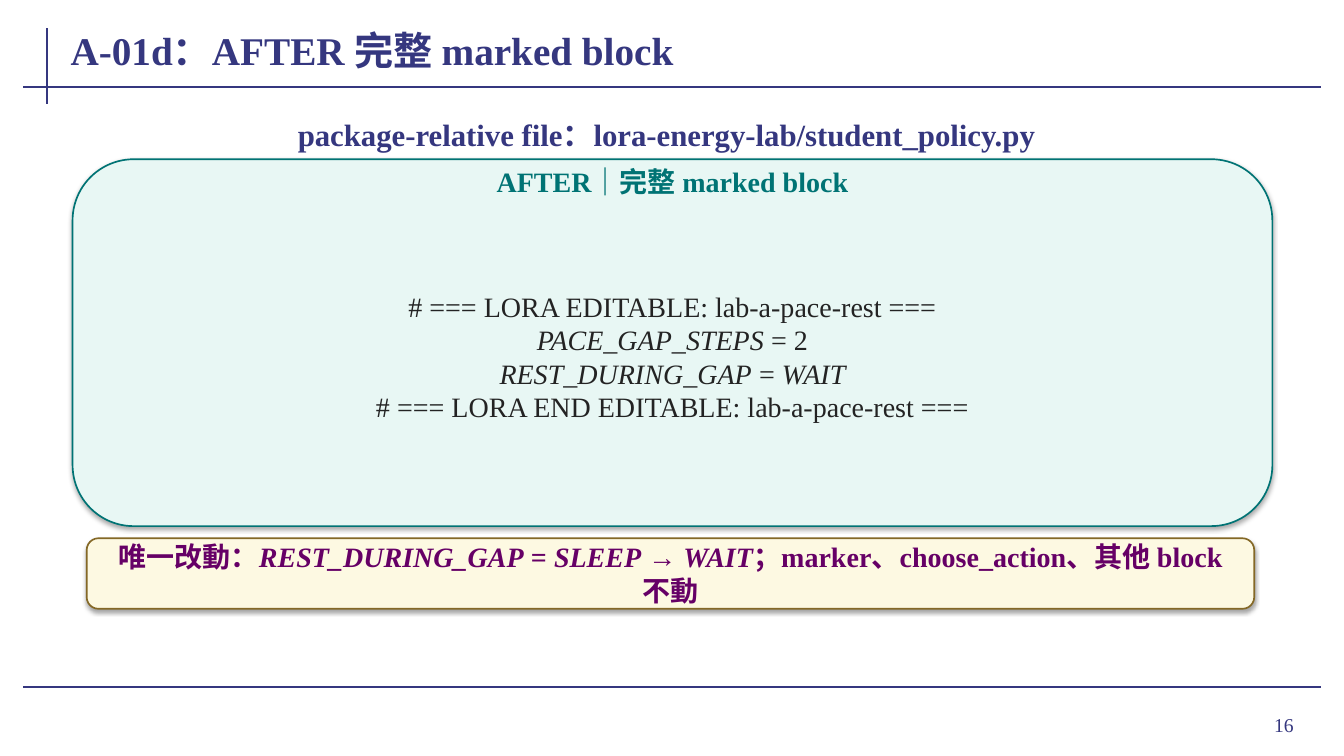
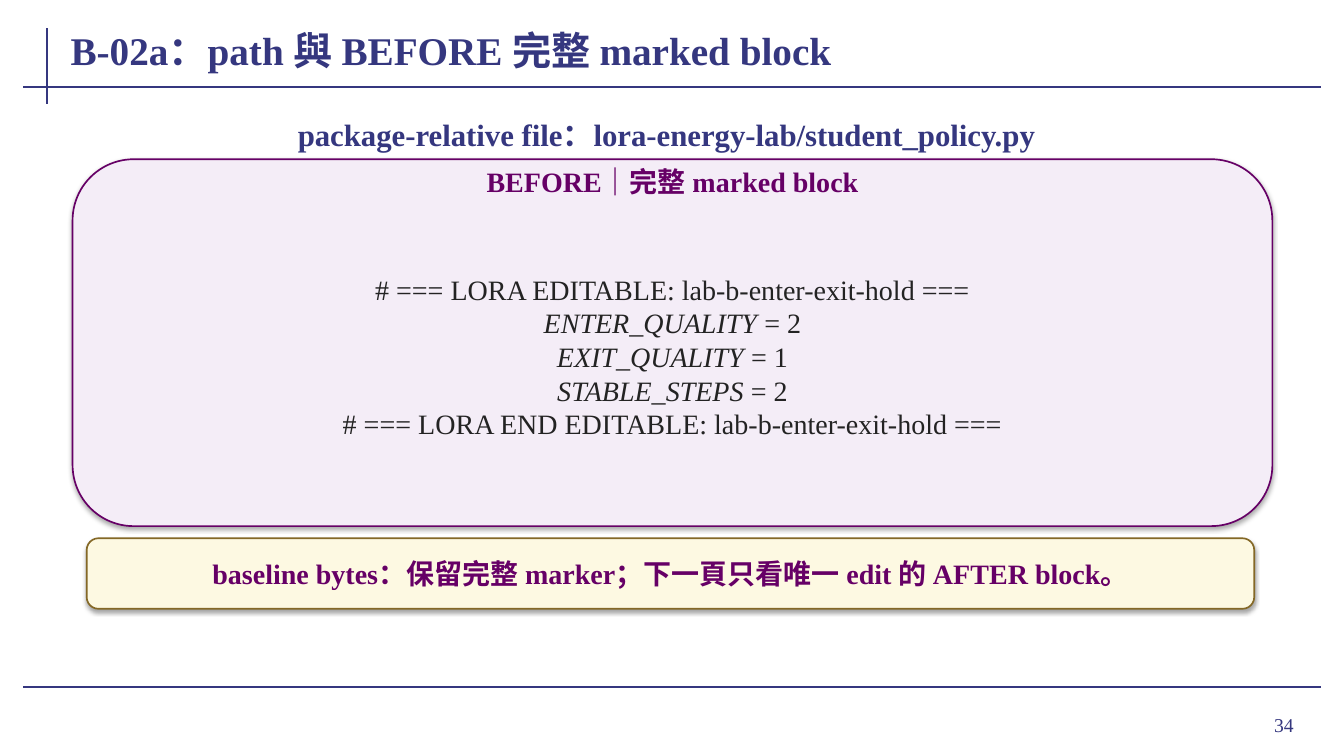
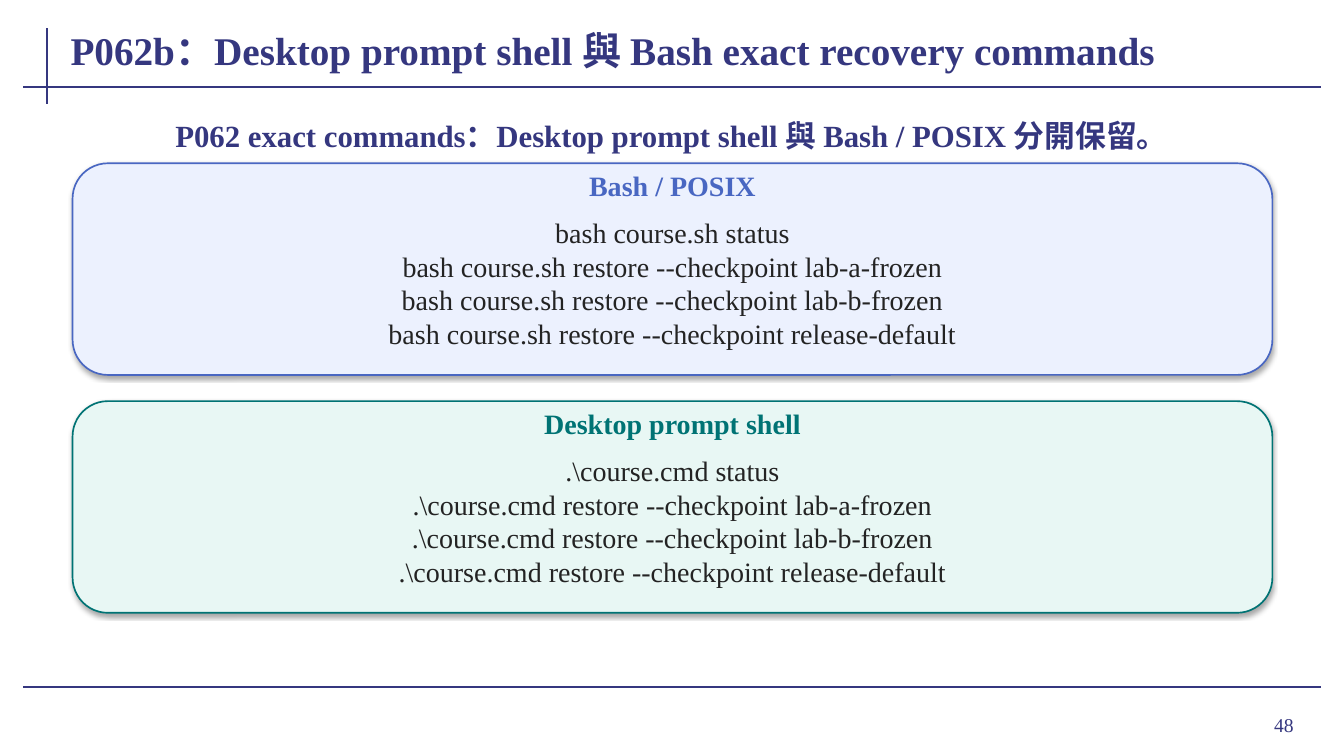
from dataclasses import dataclass

from lxml import etree
from pptx import Presentation
from pptx.dml.color import RGBColor
from pptx.enum.shapes import MSO_CONNECTOR, MSO_SHAPE
from pptx.enum.text import MSO_ANCHOR, MSO_AUTO_SIZE, PP_ALIGN
from pptx.oxml import parse_xml
from pptx.oxml.ns import nsdecls, qn
from pptx.util import Inches, Pt


@dataclass(frozen=True)
class Theme:
    font: str = "Times New Roman"
    navy: str = "35377F"
    ink: str = "232323"
    plum: str = "660066"
    # (accent, fill) pairs for the rounded panels
    teal_panel: tuple = ("007374", "E8F7F4")
    plum_panel: tuple = ("660066", "F4EDF7")
    blue_panel: tuple = ("4967C2", "ECF1FE")
    note_panel: tuple = ("846826", "FDF9E2")
    title_size: int = 28
    lead_size: int = 22
    body_size: int = 20
    page_size: int = 14
    rule_width: float = 1.5
    border_width: float = 1.2


T = Theme()
SHADOW = (
    f'<a:outerShdw {nsdecls("a")} blurRad="40000" dist="23000" dir="5400000" '
    'rotWithShape="0"><a:srgbClr val="000000"><a:alpha val="35000"/>'
    "</a:srgbClr></a:outerShdw>"
)


def rgb(value):
    return RGBColor.from_string(value)


def inset(box, dx, top, bottom):
    """Shrink a box by dx on both sides and by the given top and bottom."""
    x, y, w, h = box
    return x + dx, y + top, w - 2 * dx, h - top - bottom


def add_text(s, box, lines, size, color, bold=False, align=PP_ALIGN.CENTER,
             margins=(0.01, 0, 0.01, 0.01), grow=True):
    """Text box with one paragraph a line; *stars* enclose italics."""
    tf = s.shapes.add_textbox(*map(Inches, box)).text_frame
    tf.word_wrap = True
    tf.vertical_anchor = MSO_ANCHOR.MIDDLE
    tf.auto_size = MSO_AUTO_SIZE.SHAPE_TO_FIT_TEXT if grow else MSO_AUTO_SIZE.NONE
    (tf.margin_left, tf.margin_top,
     tf.margin_right, tf.margin_bottom) = map(Inches, margins)
    for i, line in enumerate(lines):
        p = tf.add_paragraph() if i else tf.paragraphs[0]
        p.alignment = align
        p.font.name = T.font
        p.font.size = Pt(size)
        p.font.bold = bold
        p.font.color.rgb = rgb(color)
        for j, part in enumerate(line.split("*")):
            if part:
                r = p.add_run()
                r.text = part
                if j % 2:
                    r.font.italic = True


def add_rule(s, x1, y1, x2, y2):
    rule = s.shapes.add_connector(MSO_CONNECTOR.STRAIGHT,
                                  *map(Inches, (x1, y1, x2, y2)))
    rule.line.color.rgb = rgb(T.navy)
    rule.line.width = Pt(T.rule_width)
    etree.SubElement(rule._element.spPr, qn("a:effectLst"))


def add_card(s, box, colors):
    """Rounded rectangle with a soft shadow below."""
    accent, fill = colors
    sp = s.shapes.add_shape(MSO_SHAPE.ROUNDED_RECTANGLE, *map(Inches, box))
    sp.fill.solid()
    sp.fill.fore_color.rgb = rgb(fill)
    sp.line.color.rgb = rgb(accent)
    sp.line.width = Pt(T.border_width)
    sp.shadow.inherit = False
    sp._element.spPr.find(qn("a:effectLst")).append(parse_xml(SHADOW))


def add_panel(s, box, colors, label, lines):
    """Card with a coloured label at its top and centred code under it."""
    add_card(s, box, colors)
    add_text(s, inset(box, 0.18, 0.1, box[3] - 0.35), [label],
             T.body_size, colors[0], bold=True)
    add_text(s, inset(box, 0.22, 0.38, 0.1), lines, T.body_size, T.ink)


def add_note(s, box, text):
    add_card(s, box, T.note_panel)
    add_text(s, inset(box, 0.18, 0.07, 0.07), [text], T.body_size, T.plum,
             bold=True, margins=(0.02, 0, 0.02, 0))


def new_slide(prs, title, page):
    """Blank slide with the shared rules, title and page number."""
    s = prs.slides.add_slide(prs.slide_layouts[6])
    add_rule(s, 0.47, 0.28, 0.47, 1.03)
    for y in (0.86, 6.82):
        add_rule(s, 0.23, y, 13.1, y)
    add_text(s, (11.96, 6.93, 0.97, 0.52), [str(page)], T.page_size, T.navy,
             align=PP_ALIGN.RIGHT, margins=(0.1, 0.05, 0.1, 0.05), grow=False)
    add_text(s, (0.68, 0.18, 11.95, 0.62), [title], T.title_size, T.navy,
             bold=True, align=PP_ALIGN.LEFT, margins=(0.02, 0, 0.02, 0),
             grow=False)
    return s


def block_slide(prs, title, page, colors, label, lines, note):
    """File name, one code block and a note."""
    s = new_slide(prs, title, page)
    add_text(s, (0.82, 1.16, 11.58, 0.34),
             ["package-relative file：lora-energy-lab/student_policy.py"],
             T.lead_size, T.navy, bold=True, margins=(0.01, 0, 0.01, 0))
    add_panel(s, (0.72, 1.58, 11.9, 3.64), colors, label, lines)
    add_note(s, (0.86, 5.34, 11.58, 0.7), note)


def commands_slide(prs, title, page, lead, panels):
    """Lead line and a stack of command panels."""
    s = new_slide(prs, title, page)
    add_text(s, (0.88, 1.16, 11.56, 0.36), [lead], T.lead_size, T.navy,
             bold=True, margins=(0.08, 0.04, 0.08, 0.04))
    top, height, gap = 1.62, 2.1, 0.26
    actions = ["status"] + [f"restore --checkpoint {name}" for name in
                            ("lab-a-frozen", "lab-b-frozen", "release-default")]
    for i, (colors, label, command) in enumerate(panels):
        add_panel(s, (0.72, top + i * (height + gap), 11.9, height), colors,
                  label, [f"{command} {action}" for action in actions])


def main():
    prs = Presentation()
    prs.slide_width, prs.slide_height = Inches(13.33), Inches(7.5)

    block_slide(
        prs, "A-01d：AFTER 完整 marked block", 16, T.teal_panel,
        "AFTER｜完整 marked block",
        ["# === LORA EDITABLE: lab-a-pace-rest ===",
         "*PACE_GAP_STEPS* = 2",
         "*REST_DURING_GAP* = *WAIT*",
         "# === LORA END EDITABLE: lab-a-pace-rest ==="],
        "唯一改動：*REST_DURING_GAP* = *SLEEP* → *WAIT*"
        "；marker、choose_action、其他 block 不動")

    block_slide(
        prs, "B-02a：path 與 BEFORE 完整 marked block", 34, T.plum_panel,
        "BEFORE｜完整 marked block",
        ["# === LORA EDITABLE: lab-b-enter-exit-hold ===",
         "*ENTER_QUALITY* = 2",
         "*EXIT_QUALITY* = 1",
         "*STABLE_STEPS* = 2",
         "# === LORA END EDITABLE: lab-b-enter-exit-hold ==="],
        "baseline bytes：保留完整 marker；下一頁只看唯一 edit 的 AFTER block。")

    commands_slide(
        prs, "P062b：Desktop prompt shell 與 Bash exact recovery commands", 48,
        "P062 exact commands：Desktop prompt shell 與 Bash / POSIX 分開保留。",
        [(T.blue_panel, "Bash / POSIX", "bash course.sh"),
         (T.teal_panel, "Desktop prompt shell", ".\\course.cmd")])

    prs.save("out.pptx")


if __name__ == "__main__":
    main()
